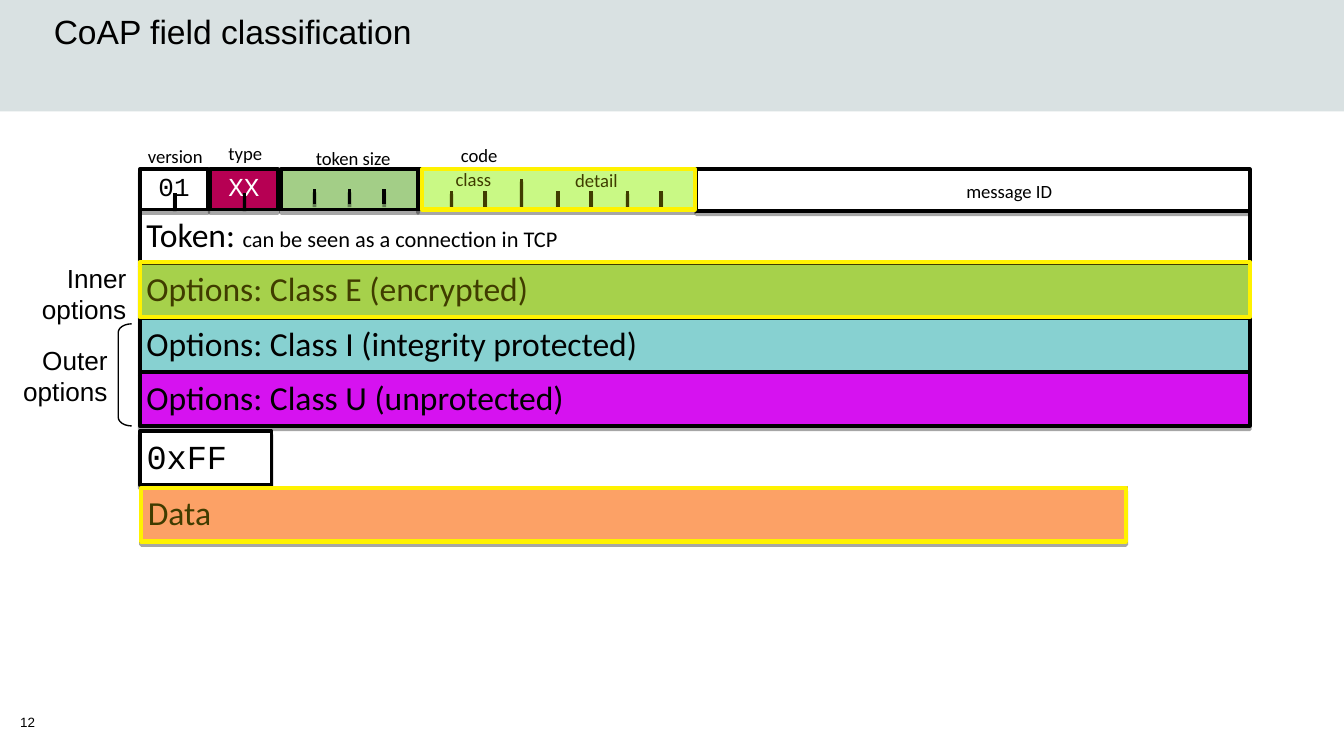
from lxml import etree
from pptx import Presentation
from pptx.dml import color
from pptx.enum import shapes, text
from pptx.oxml import ns
from pptx.util import Inches, Pt

paint = color.RGBColor.from_string
LEFT, RIGHT, CENTER = text.PP_ALIGN.LEFT, text.PP_ALIGN.RIGHT, text.PP_ALIGN.CENTER
TOP, MIDDLE = text.MSO_ANCHOR.TOP, text.MSO_ANCHOR.MIDDLE


def write(shape, spans, font="Calibri", ink="000000", align=LEFT, spacing=1.0,
          anchor=TOP, wrap=True, inset=(0.05, 0.05)):
    frame = shape.text_frame
    side, edge = (Inches(value) for value in inset)
    layout = {"word_wrap": wrap, "vertical_anchor": anchor,
              "auto_size": text.MSO_AUTO_SIZE.NONE,
              "margin_left": side, "margin_right": side,
              "margin_top": edge, "margin_bottom": edge}
    for name, value in layout.items():
        setattr(frame, name, value)
    para = frame.paragraphs[0]
    para.alignment, para.line_spacing = align, spacing
    for words, size in spans:
        span = para.add_run()
        span.text = words
        for name, value in {"name": font, "size": Pt(size), "bold": False}.items():
            setattr(span.font, name, value)
        span.font.color.rgb = paint(ink)


def outline(shape, ink="000000", width=2, shadow=None):
    shape.line.color.rgb = paint(ink)
    shape.line.width = Pt(width)
    properties = shape._element.spPr
    for old in properties.findall(ns.qn("a:effectLst")):
        properties.remove(old)
    effects = etree.SubElement(properties, ns.qn("a:effectLst"))
    if shadow:
        distance, opacity = shadow
        outer = etree.SubElement(effects, ns.qn("a:outerShdw"), blurRad="0",
                                 dist=str(Pt(distance)), dir="5400000", rotWithShape="0")
        black = etree.SubElement(outer, ns.qn("a:srgbClr"), val="000000")
        etree.SubElement(black, ns.qn("a:alpha"), val=str(opacity * 1000))


deck = Presentation()
deck.slide_width, deck.slide_height = Inches(10), Inches(10) * 9 // 16
page = deck.slides.add_slide(deck.slide_layouts[5])
rectangle = shapes.MSO_SHAPE.RECTANGLE

band = page.shapes.add_shape(rectangle, 0, 0, Inches(10), Inches(0.83))
band.shadow.inherit = False
band.fill.solid()
band.fill.fore_color.rgb = paint("D9E1E2")
band.line.fill.background()

title = page.shapes.title
page.shapes._spTree.append(title._element)
place = {"left": 0.4, "top": 0.08, "width": 7.91, "height": 0.3}
for name, value in place.items():
    setattr(title, name, Inches(value))
write(title, [("CoAP field classification", 18)], font="Arial", inset=(0, 0))

row_style = {"spacing": 0.9, "anchor": MIDDLE}
code_style = {"font": "Courier New", "anchor": MIDDLE}
bit_style = {**code_style, "align": CENTER, "spacing": 0.8}
fields = [
    (1.04, 1.56, 8.26, 0.4, "FFFFFF",
     [("Token: ", 18), ("can be seen as a connection in TCP", 12)], row_style),
    (1.04, 1.26, 0.51, 0.3, "FFFFFF", [("01", 13.9)], bit_style),
    (1.56, 1.26, 0.51, 0.3, "B60053", [("XX", 13.9)], {**bit_style, "ink": "FFFFFF"}),
    (2.09, 1.26, 1.02, 0.3, "A3CE87", [], {}),
    (3.11, 1.26, 2.06, 0.3, "B7FCB2", [], {}),
    (5.18, 1.26, 4.12, 0.31, "FFFFFF", [], {}),
    (1.04, 1.96, 8.26, 0.4, "89C765", [("Options: Class E (encrypted)", 18)], row_style),
    (1.04, 3.21, 0.98, 0.4, "FFFFFF", [("0xFF", 18)], {**code_style, "spacing": 0.9}),
    (1.05, 3.63, 7.33, 0.4, "FC8689", [("Data", 18)], row_style),
    (1.04, 2.37, 8.26, 0.4, "87D1D1",
     [("Options: Class I (integrity protected)", 18)], row_style),
    (1.04, 2.77, 8.26, 0.4, "D612F0", [("Options: Class U (unprotected)", 18)], row_style),
]
for *bounds, fill, spans, style in fields:
    field = page.shapes.add_shape(rectangle, *map(Inches, bounds))
    field.fill.solid()
    field.fill.fore_color.rgb = paint(fill)
    outline(field, shadow=(1.8, 35))
    if spans:
        write(field, spans, **style)

tick_groups = [
    ([1.3, 1.82], 1.44, 1.55),
    ([2.34, 2.6, 2.86], 1.41, 1.52),
    ([3.36, 3.61, 4.15, 4.4, 4.67, 4.92], 1.42, 1.54),
    ([3.88], 1.33, 1.54),
]
for columns, top, bottom in tick_groups:
    for x in columns:
        tick = page.shapes.add_connector(shapes.MSO_CONNECTOR.STRAIGHT, Inches(x),
                                         Inches(bottom), Inches(x), Inches(top))
        outline(tick, shadow=(1.6, 38))

labels = [
    ("version", 1.05, 1.03, 0.51), ("type", 1.65, 1.01, 0.35),
    ("token size", 2.3, 1.04, 0.66), ("code", 3.38, 1.02, 0.37),
    ("class", 3.34, 1.2, 0.36), ("detail", 4.23, 1.21, 0.42),
    ("message ID", 7.14, 1.29, 0.73),
]
for words, left, top, width in labels:
    label = page.shapes.add_textbox(Inches(left), Inches(top), Inches(width), Inches(0.27))
    write(label, [(words, 10)], wrap=False)

encrypted = [(1.04, 1.95, 8.26, 0.41), (3.14, 1.26, 2.03, 0.3), (1.05, 3.63, 7.33, 0.4)]
for bounds in encrypted:
    highlight = page.shapes.add_shape(rectangle, *map(Inches, bounds))
    highlight.fill.solid()
    highlight.fill.fore_color.rgb = paint("FFF200")
    tint = highlight._element.spPr.find(ns.qn("a:solidFill"))[0]
    etree.SubElement(tint, ns.qn("a:alpha"), val="25000")
    outline(highlight, "FFF200", 2.3)

bracket = page.shapes.add_shape(shapes.MSO_SHAPE.LEFT_BRACKET, Inches(0.88), Inches(2.41),
                                Inches(0.1), Inches(0.76))
bracket.adjustments[0] = 0.65
bracket.fill.background()
outline(bracket, width=0)

for words, left, top in [("Outer options", -0.03, 2.51), ("Inner options", 0.11, 1.9)]:
    note = page.shapes.add_textbox(Inches(left), Inches(top), Inches(0.93), Inches(0.56))
    write(note, [(words, 14)], font="Arial", align=RIGHT, inset=(0.1, 0.05))

number = page.shapes.add_textbox(Inches(0.08), Inches(5.29), Inches(0.42), Inches(0.19))
write(number, [("12", 7.2)], font="Arial", spacing=0.8, anchor=MIDDLE, inset=(0.07, 0.04))

deck.save("out.pptx")
